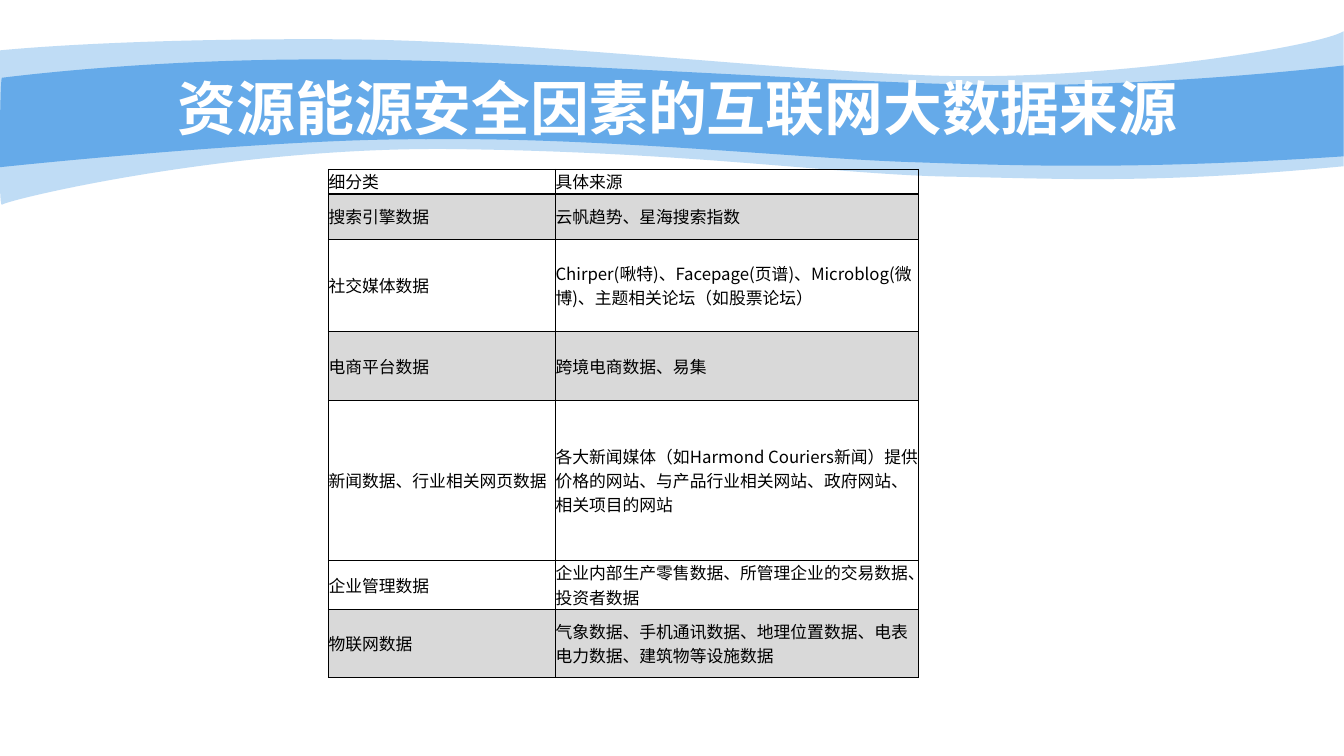
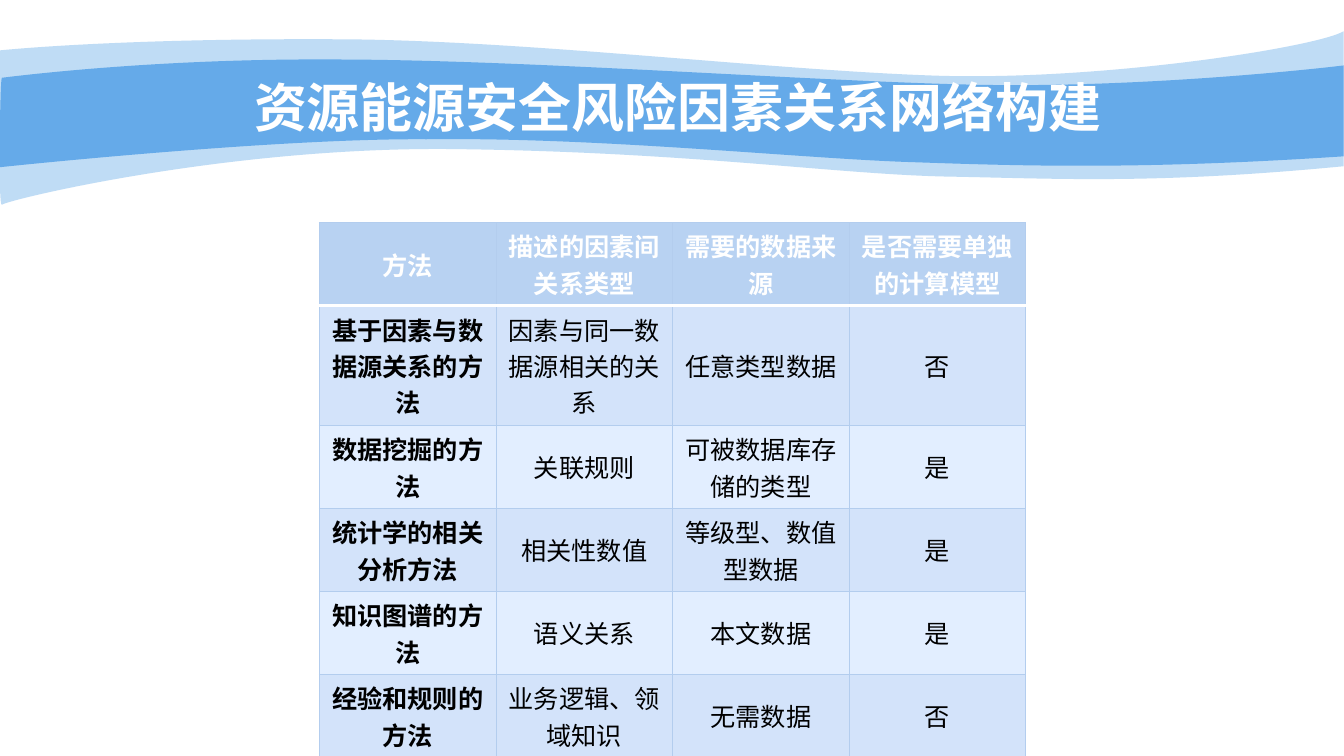
import pptx
import pptx.util
import pptx.dml.color
import pptx.enum.text
import pptx.oxml
import pptx.oxml.ns
from pptx.util import Cm, Pt

RGBColor = pptx.dml.color.RGBColor
BLUE = RGBColor(0x65, 0xAA, 0xE9)
WHITE = RGBColor(0xFF, 0xFF, 0xFF)
BLACK = RGBColor(0, 0, 0)
GREY = RGBColor(0xD9, 0xD9, 0xD9)
HEADER_BLUE = RGBColor(0xB8, 0xD2, 0xF2)
ROW_BLUE = RGBColor(0xD3, 0xE3, 0xFA)
PALE_BLUE = RGBColor(0xE2, 0xEE, 0xFF)
GRID_BLUE = RGBColor(0xB3, 0xCD, 0xEE)
CHINESE_FONT = "Noto Sans CJK SC"
CENTER = pptx.enum.text.PP_ALIGN.CENTER
LEFT = pptx.enum.text.PP_ALIGN.LEFT
MIDDLE = pptx.enum.text.MSO_ANCHOR.MIDDLE
NAMESPACE = pptx.oxml.ns.nsdecls("a")


def write_text(frame, text, color, align, font_format):
    paragraph = frame.paragraphs[0]
    paragraph.alignment = align
    run = paragraph.add_run()
    run.text = text
    for name, value in font_format.items():
        setattr(run.font, name, value)
    run.font.color.rgb = color
    run.font._element.get_or_add_latin().addnext(
        pptx.oxml.parse_xml(f'<a:ea {NAMESPACE} typeface="{CHINESE_FONT}"/>'))


def style_cell(cell, fill, margins, borders):
    cell.vertical_anchor = MIDDLE
    for name, value in margins.items():
        setattr(cell, name, value)
    if fill is None:
        cell.fill.background()
    else:
        cell.fill.solid()
        cell.fill.fore_color.rgb = fill
    properties = cell._tc.get_or_add_tcPr()
    for position, (side, (color, width)) in enumerate(borders.items()):
        properties.insert(position, pptx.oxml.parse_xml(
            f'<a:ln{side} {NAMESPACE} w="{Pt(width)}"><a:solidFill>'
            f'<a:srgbClr val="{color}"/></a:solidFill></a:ln{side}>'))


deck = pptx.Presentation()
deck.slide_width, deck.slide_height = Cm(33.87), Cm(19.05)

# Slides with their titles
titles = [("资源能源安全因素的互联网大数据来源", 42),
          ("资源能源安全风险因素关系网络构建", 37.8)]
title_place = {"left": Cm(3.38), "top": Cm(1.9), "width": Cm(27.38), "height": Cm(1.57)}
slides = []
for title_text, size in titles:
    slide = deck.slides.add_slide(deck.slide_layouts[5])
    title = slide.shapes.title
    for name, value in title_place.items():
        setattr(title, name, value)
    title.text_frame.auto_size = pptx.enum.text.MSO_AUTO_SIZE.NONE
    title.text_frame.vertical_anchor = MIDDLE
    write_text(title.text_frame, title_text, WHITE, CENTER,
               {"name": CHINESE_FONT, "size": Pt(size), "bold": True})
    slides.append(slide)
sources_slide, methods_slide = slides

# Wave bands on the master: an upper and a lower edge of Bezier points in cm, and opacity
waves = [
    ([(0, 1.27), (0.81, 1.19), (3.63, 0.97), (8.36, 0.99),
      (13.06, 0.99), (19.48, 1.78), (23.67, 1.91),
      (27.84, 2.03), (33.17, 1.19), (33.86, 0.79)],
     [(33.86, 4.19), (29.06, 4.65), (26.67, 4.5), (23.85, 4.45),
      (21.06, 4.39), (17.45, 3.84), (11.63, 3.76),
      (5.82, 3.66), (0.13, 5.05), (0.05, 5.16),
      (-0.05, 5.28), (0, 1.91), (0, 1.27)], 41),
    ([(0.05, 1.96), (0.08, 1.96), (3.71, 1.47), (8.41, 1.5),
      (13.08, 1.5), (20.17, 2.03), (24.33, 2.13),
      (28.5, 2.24), (33.05, 1.75), (33.86, 1.65)],
     [(33.86, 3.94), (28.88, 4.27), (25.93, 4.19), (23.09, 4.09),
      (20.29, 4.01), (15.14, 3.45), (10.74, 3.51),
      (6.88, 3.48), (-0.08, 4.22), (-0.05, 4.22),
      (0, 4.22), (0, 1.96), (0.05, 1.96)], 100),
]
for order, (upper, lower, opacity) in enumerate(waves):
    points = [(Cm(x), Cm(y)) for x, y in upper + lower]
    builder = sources_slide.shapes.build_freeform(*points[0])
    builder.add_line_segments(points[1:], close=False)
    wave = builder.convert_to_shape()
    # Every three points of an edge become one curve; the edges stay joined by a line
    segments = wave.element.xpath(".//a:lnTo")
    join = len(upper) - 1
    for edge in (segments[:join], segments[join + 1:]):
        for start in range(0, len(edge), 3):
            curve = pptx.oxml.parse_xml(f"<a:cubicBezTo {NAMESPACE}/>")
            edge[start].addprevious(curve)
            for segment in edge[start:start + 3]:
                curve.append(segment[0])
                segment.getparent().remove(segment)
    wave.element.xpath(".//a:path")[0].append(pptx.oxml.parse_xml(f"<a:close {NAMESPACE}/>"))
    wave.shadow.inherit = False
    wave.fill.solid()
    wave.fill.fore_color.rgb = BLUE
    wave.line.fill.background()
    if opacity < 100:
        wave.element.xpath(".//a:solidFill/a:srgbClr")[0].append(
            pptx.oxml.parse_xml(f'<a:alpha {NAMESPACE} val="{opacity * 1000}"/>'))
    wave.element.xpath(".//p:cNvPr")[0].set("id", str(20 + order))
    deck.slide_master.shapes.element.insert(2 + order, wave.element)

# Tables: content and measures in cm
source_rows = [
    ("细分类", "具体来源"),
    ("搜索引擎数据", "云帆趋势、星海搜索指数"),
    ("社交媒体数据", "Chirper(啾特)、Facepage(页谱)、Microblog(微博)、主题相关论坛（如股票论坛）"),
    ("电商平台数据", "跨境电商数据、易集"),
    ("新闻数据、行业相关网页数据",
     "各大新闻媒体（如Harmond Couriers新闻）提供价格的网站、与产品行业相关网站、政府网站、相关项目的网站"),
    ("企业管理数据", "企业内部生产零售数据、所管理企业的交易数据、投资者数据"),
    ("物联网数据", "气象数据、手机通讯数据、地理位置数据、电表电力数据、建筑物等设施数据"),
]
method_rows = [
    ("方法", "描述的因素间关系类型", "需要的数据来源", "是否需要单独的计算模型"),
    ("基于因素与数据源关系的方法", "因素与同一数据源相关的关系", "任意类型数据", "否"),
    ("数据挖掘的方法", "关联规则", "可被数据库存储的类型", "是"),
    ("统计学的相关分析方法", "相关性数值", "等级型、数值型数据", "是"),
    ("知识图谱的方法", "语义关系", "本文数据", "是"),
    ("经验和规则的方法", "业务逻辑、领域知识", "无需数据", "否"),
]
layouts = [
    (sources_slide, source_rows, 8.28, 4.27, [5.72, 9.14],
     [0.61, 1.15, 2.32, 1.73, 4.03, 1.24, 1.72]),
    (methods_slide, method_rows, 8.05, 5.61, [4.45] * 4, [1.78, 2.54] + [1.78] * 4),
]
grids = []
for slide, rows, left, top, widths, heights in layouts:
    grid = slide.shapes.add_table(len(rows), len(widths), Cm(left), Cm(top),
                                  Cm(sum(widths)), Cm(sum(heights))).table
    grid.first_row = grid.horz_banding = False
    for column, width in zip(grid.columns, widths):
        column.width = Cm(width)
    for row, height in zip(grid.rows, heights):
        row.height = Cm(height)
    grids.append(grid)
sources, methods = grids

# Data sources: black grid with grey rows; rule widths run from the top edge down
no_margins = {f"margin_{side}": 0 for side in ("left", "right", "top", "bottom")}
for r, texts in enumerate(source_rows):
    for c, text in enumerate(texts):
        rules = [1, 1.5, 1, 1, 1, 0.5 if c else 1, 1, 1]
        borders = {"L": (BLACK, 1), "R": (BLACK, 0.75 if c else 1),
                   "T": (BLACK, rules[r]), "B": (BLACK, rules[r + 1])}
        cell = sources.cell(r, c)
        style_cell(cell, GREY if r in (1, 3, 6) else None, no_margins, borders)
        write_text(cell.text_frame, text, BLACK, LEFT,
                   {"name": CHINESE_FONT, "size": Pt(12), "bold": False})

# Methods: blue header, bold first column, alternating rows
for r, texts in enumerate(method_rows):
    fill = HEADER_BLUE if r == 0 else ROW_BLUE if r % 2 else PALE_BLUE
    thin, header_rule = (GRID_BLUE, 0.75), (WHITE, 2)
    borders = {"L": thin, "R": thin,
               "T": header_rule if r == 1 else thin,
               "B": header_rule if r == 0 else thin}
    for c, text in enumerate(texts):
        cell = methods.cell(r, c)
        style_cell(cell, fill, {}, borders)
        write_text(cell.text_frame, text, BLACK if r else WHITE, CENTER,
                   {"name": "Arial", "size": Pt(18), "bold": r == 0 or c == 0})

deck.save("out.pptx")
